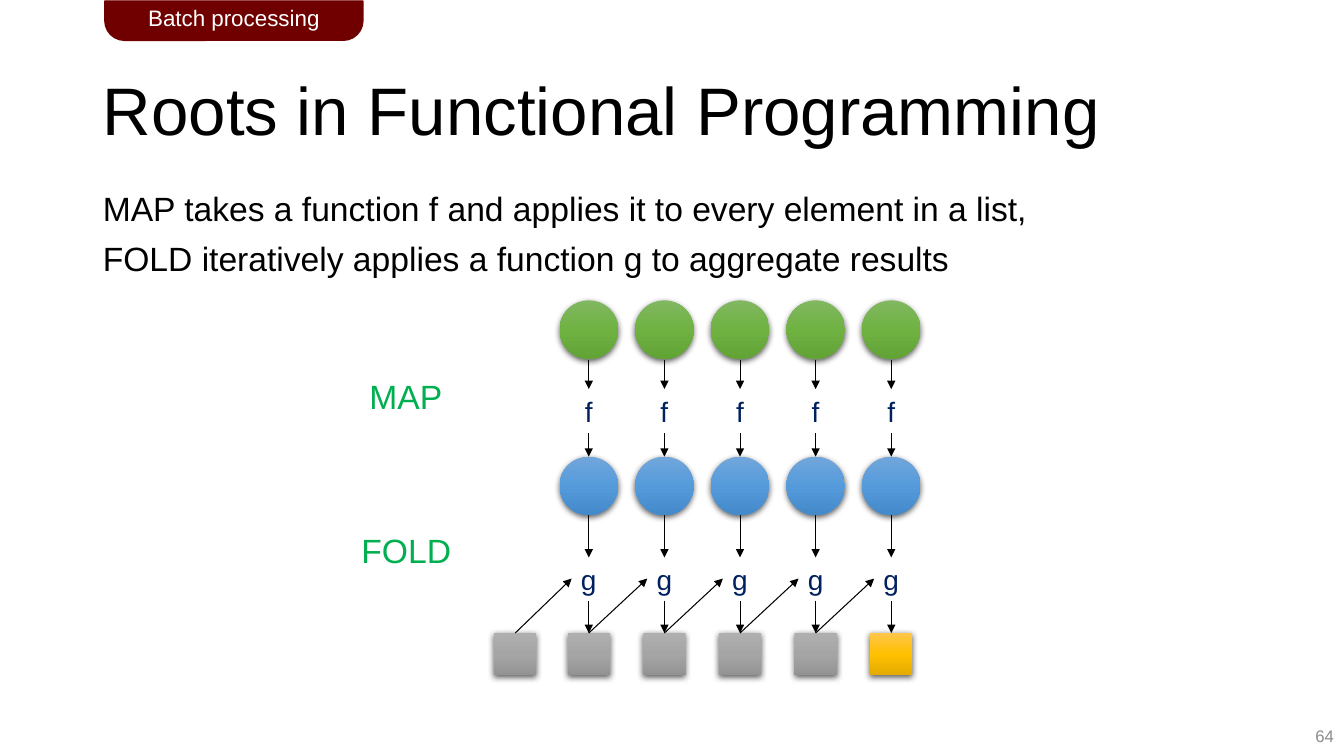
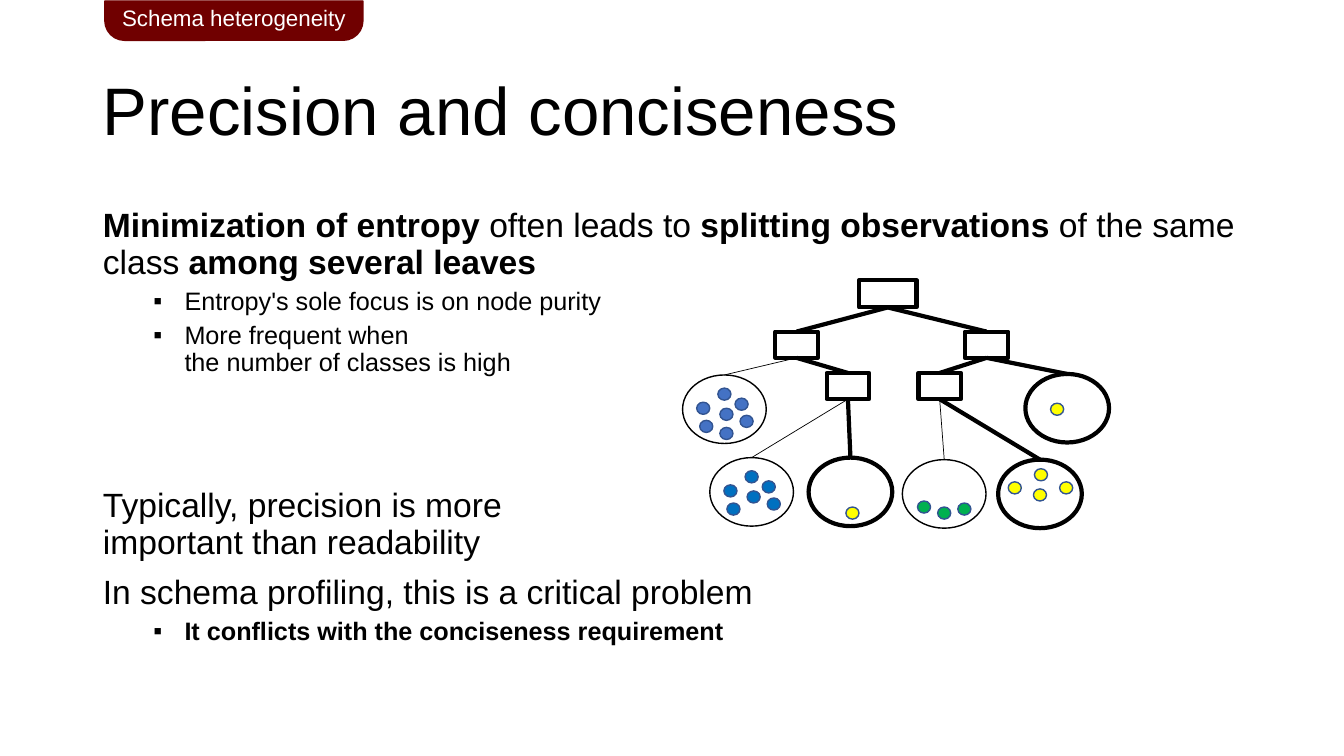
import copy
import dataclasses
import typing

import pptx
import pptx.dml.color
import pptx.enum.shapes
import pptx.enum.text
import pptx.oxml
import pptx.oxml.ns
import pptx.shapes.autoshape
import pptx.slide
import pptx.util

Inches = pptx.util.Inches
Pt = pptx.util.Pt
SHAPE = pptx.enum.shapes.MSO_SHAPE
ALIGN = pptx.enum.text.PP_ALIGN
ANCHOR = pptx.enum.text.MSO_ANCHOR
AUTO = pptx.enum.text.MSO_AUTO_SIZE
qn = pptx.oxml.ns.qn

FONT = "Arial"
BLACK, WHITE, MAROON, GREY = "000000", "FFFFFF", "700000", "8C8C8C"
NAVY, GREEN, DOT_LINE = "002060", "00B050", "325491"
INDIGO, BLUE, YELLOW = "4472C4", "0070C0", "FFFF00"
GREEN_FADE = ("81B861", "6FB242", "62A336")
BLUE_FADE = ("71A6DB", "559BDB", "448ACA")
GREY_FADE = ("AFAFAF", "A5A5A5", "939393")
GOLD_FADE = ("FFC64B", "FFC000", "E3AB00")

Point = tuple[float, float]


@dataclasses.dataclass
class Box:
    x: float
    y: float
    w: float
    h: float

    def emu(self) -> list[int]:
        return [Inches(v) for v in (self.x, self.y, self.w, self.h)]

    def top(self) -> Point:
        return self.x + self.w / 2, self.y

    def bottom(self) -> Point:
        return self.x + self.w / 2, self.y + self.h


@dataclasses.dataclass
class Span:
    text: str
    bold: bool = False


@dataclasses.dataclass
class Para:
    spans: list[Span]
    bullet: bool = False
    before: float = 10


@dataclasses.dataclass
class Split:
    box: Box
    children: list[typing.Any]
    line: float = 3


@dataclasses.dataclass
class Leaf:
    x: float
    y: float
    line: float
    color: str
    dots: list[Point]

    @property
    def box(self) -> Box:
        return Box(self.x, self.y, 0.83, 0.68)


TITLE_BOX = Box(0.92, 0.4, 11.5, 1.45)
BODY_BOX = Box(0.92, 1.86, 11.5, 4.76)
TAB_BOX = Box(1.04, 0.01, 2.56, 0.39)
CLUSTER = [(0.35, 0.13), (0.52, 0.23), (0.14, 0.27), (0.37, 0.33),
           (0.57, 0.4), (0.17, 0.45), (0.37, 0.52)]


def rgb(value: str) -> pptx.dml.color.RGBColor:
    return pptx.dml.color.RGBColor.from_string(value)


def apply(obj: typing.Any, values: dict[str, typing.Any]) -> None:
    for name, value in values.items():
        setattr(obj, name, value)


def add_text(p: typing.Any, text: str, size: float, color: str, bold: bool = False) -> None:
    for i, line in enumerate(text.split("\n")):
        if i:
            p.add_line_break()
        r = p.add_run()
        r.text = line
        apply(r.font, {"name": FONT, "size": Pt(size), "bold": bold})
        r.font.color.rgb = rgb(color)


def add_label(s: pptx.slide.Slide, box: Box, text: str, size: float, color: str,
              align: typing.Any = ALIGN.CENTER, anchor: typing.Any = ANCHOR.TOP) -> None:
    tf = s.shapes.add_textbox(*box.emu()).text_frame
    apply(tf, {"word_wrap": False, "vertical_anchor": anchor})
    p = tf.paragraphs[0]
    p.alignment = align
    add_text(p, text, size, color)


def add_shape(s: pptx.slide.Slide, kind: typing.Any, box: Box, fill: str = "",
              line: str = "", width: float = 1) -> pptx.shapes.autoshape.Shape:
    sp = s.shapes.add_shape(kind, *box.emu())
    sp.shadow.inherit = False
    if fill:
        sp.fill.solid()
        sp.fill.fore_color.rgb = rgb(fill)
    else:
        sp.fill.background()
    if line:
        sp.line.color.rgb = rgb(line)
        sp.line.width = Pt(width)
    else:
        sp.line.fill.background()
    return sp


def add_faded(s: pptx.slide.Slide, kind: typing.Any, box: Box, fade: tuple[str, ...]) -> None:
    sp = add_shape(s, kind, box)
    sp.fill.gradient()
    sp.fill.gradient_angle = 270
    stops = sp.element.spPr.find(".//" + qn("a:gsLst"))
    stops.insert(1, copy.deepcopy(stops[0]))
    for i, (stop, color) in enumerate(zip(sp.fill.gradient_stops, fade)):
        stop.position = i / 2
        stop.color.rgb = rgb(color)
    sp.element.spPr.find(qn("a:effectLst")).append(pptx.oxml.parse_xml(
        f'<a:outerShdw {pptx.oxml.ns.nsdecls("a")} blurRad="57150" dist="19050" '
        'dir="5400000" algn="ctr" rotWithShape="0"><a:srgbClr val="000000">'
        '<a:alpha val="63000"/></a:srgbClr></a:outerShdw>'))


def add_line(s: pptx.slide.Slide, start: Point, end: Point, width: float,
             arrow: bool = False) -> None:
    c = s.shapes.add_connector(pptx.enum.shapes.MSO_CONNECTOR.STRAIGHT,
                               *[Inches(v) for v in (*start, *end)])
    c.line.color.rgb = rgb(BLACK)
    c.line.width = Pt(width)
    spPr = c._element.spPr
    if arrow:
        tail = pptx.oxml.ns.nsdecls("a")
        spPr.find(qn("a:ln")).append(
            pptx.oxml.parse_xml(f'<a:tailEnd {tail} type="triangle"/>'))
    spPr.append(pptx.oxml.parse_xml(f'<a:effectLst {pptx.oxml.ns.nsdecls("a")}/>'))


def set_bullet(p: typing.Any, bullet: bool) -> None:
    pPr = p._p.get_or_add_pPr()
    pPr.set("marL", str(Inches(0.81 if bullet else 0)))
    pPr.set("indent", str(Inches(-0.31 if bullet else 0)))
    ns = pptx.oxml.ns.nsdecls("a")
    marks = ([f'<a:buFont {ns} typeface="{FONT}"/>', f'<a:buChar {ns} char="▪"/>']
             if bullet else [f"<a:buNone {ns}/>"])
    for mark in marks:
        pPr.append(pptx.oxml.parse_xml(mark))


def place(sp: typing.Any, box: Box, anchor: typing.Any) -> typing.Any:
    apply(sp, dict(zip(("left", "top", "width", "height"), box.emu())))
    apply(sp.text_frame, {"word_wrap": True, "auto_size": AUTO.NONE,
                          "vertical_anchor": anchor})
    return sp.text_frame


def new_slide(prs: typing.Any, tab: str, title: str, paras: list[Para],
              anchor: typing.Any) -> pptx.slide.Slide:
    s = prs.slides.add_slide(prs.slide_layouts[1])
    p = place(s.shapes.title, TITLE_BOX, ANCHOR.MIDDLE).paragraphs[0]
    apply(p, {"alignment": ALIGN.LEFT, "line_spacing": 0.9})
    add_text(p, title, 48, BLACK)

    tf = place(s.placeholders[1], BODY_BOX, anchor)
    for i, para in enumerate(paras):
        p = tf.add_paragraph() if i else tf.paragraphs[0]
        set_bullet(p, para.bullet)
        apply(p, {"level": int(para.bullet), "line_spacing": 0.9,
                  "space_before": Pt(para.before if i else 0),
                  "space_after": Pt(0), "alignment": ALIGN.LEFT})
        for span in para.spans:
            add_text(p, span.text, 18 if para.bullet else 24, BLACK, span.bold)

    sp = add_shape(s, SHAPE.ROUND_2_SAME_RECTANGLE, TAB_BOX, MAROON, MAROON)
    sp.adjustments[0], sp.adjustments[1] = 0, 0.5
    apply(sp.text_frame, {"word_wrap": True, "vertical_anchor": ANCHOR.MIDDLE})
    p = sp.text_frame.paragraphs[0]
    p.alignment = ALIGN.CENTER
    add_text(p, tab, 16, WHITE)
    return s


def draw_map_fold(s: pptx.slide.Slide) -> None:
    centers = [5.84 + 0.75 * i for i in range(5)]
    previous = 5.11
    add_faded(s, SHAPE.RECTANGLE, Box(previous - 0.21, 6.28, 0.42, 0.42), GREY_FADE)
    for x in centers:
        for y, fade in ((2.98, GREEN_FADE), (4.53, BLUE_FADE)):
            add_faded(s, SHAPE.OVAL, Box(x - 0.29, y, 0.58, 0.58), fade)
        result = GOLD_FADE if x == centers[-1] else GREY_FADE
        add_faded(s, SHAPE.RECTANGLE, Box(x - 0.21, 6.28, 0.42, 0.42), result)
        for y, name in ((3.86, "f"), (5.53, "g")):
            add_label(s, Box(x - 0.18, y, 0.36, 0.44), name, 20, NAVY)
        for y1, y2 in ((3.57, 3.86), (4.3, 4.53), (5.11, 5.53), (5.96, 6.28)):
            add_line(s, (x, y1), (x, y2), 0.75, arrow=True)
        add_line(s, (previous, 6.28), (x - 0.17, 5.74), 0.75, arrow=True)
        previous = x
    add_label(s, Box(3.56, 3.68, 0.93, 0.5), "MAP", 24, GREEN)
    add_label(s, Box(3.48, 5.21, 1.1, 0.5), "FOLD", 24, GREEN)


def draw_tree(s: pptx.slide.Slide, node: Split | Leaf) -> None:
    if isinstance(node, Leaf):
        add_shape(s, SHAPE.OVAL, node.box, line=BLACK, width=node.line)
        for dx, dy in node.dots:
            add_shape(s, SHAPE.OVAL, Box(node.x + dx, node.y + dy, 0.13, 0.12),
                      node.color, DOT_LINE)
        return
    add_shape(s, SHAPE.RECTANGLE, node.box, line=BLACK, width=node.line)
    for child in node.children:
        add_line(s, node.box.bottom(), child.box.top(), 3 if child.line == 3 else 0.5)
        draw_tree(s, child)


def main() -> None:
    prs = pptx.Presentation()
    prs.slide_width, prs.slide_height = Inches(13.33), Inches(7.5)

    s = new_slide(prs, "Batch processing", "Roots in Functional Programming", [
        Para([Span("MAP takes a function f and applies it to every element in a list,")]),
        Para([Span("FOLD iteratively applies a function g to aggregate results")]),
    ], ANCHOR.TOP)
    draw_map_fold(s)
    add_label(s, Box(10.33, 7.1, 3, 0.4), "64", 12, GREY, ALIGN.RIGHT, ANCHOR.MIDDLE)

    s = new_slide(prs, "Schema heterogeneity", "Precision and conciseness", [
        Para([Span("Minimization of entropy ", True), Span("often leads to "),
              Span("splitting observations ", True), Span("of the same class"),
              Span(" among several leaves", True)]),
        Para([Span("Entropy's sole focus is on node purity")], True, 5),
        Para([Span("More frequent when\nthe number of classes is high")], True, 5),
        Para([Span("Typically, precision is more\nimportant than readability")], before=80),
        Para([Span("In schema profiling, this is a critical problem")]),
        Para([Span("It conflicts with the conciseness requirement", True)], True, 5),
    ], ANCHOR.MIDDLE)
    left = Split(Box(7.69, 3.29, 0.42, 0.26), [
        Leaf(6.77, 3.72, 1, INDIGO, CLUSTER),
        Split(Box(8.2, 3.7, 0.42, 0.26), [
            Leaf(7.04, 4.54, 1, BLUE, CLUSTER[:6]),
            Leaf(8.02, 4.54, 3, YELLOW, [(0.37, 0.49)])])])
    right = Split(Box(9.57, 3.29, 0.43, 0.26), [
        Split(Box(9.11, 3.7, 0.42, 0.26), [
            Leaf(8.95, 4.56, 1, GREEN, [(0.15, 0.41), (0.35, 0.47), (0.55, 0.43)]),
            Leaf(9.9, 4.56, 3, YELLOW,
                 [(0.36, 0.09), (0.61, 0.22), (0.1, 0.22), (0.35, 0.29)])]),
        Leaf(10.17, 3.71, 3, YELLOW, [(0.25, 0.29)])])
    draw_tree(s, Split(Box(8.52, 2.78, 0.57, 0.27), [left, right]))

    prs.save("out.pptx")


if __name__ == "__main__":
    main()
